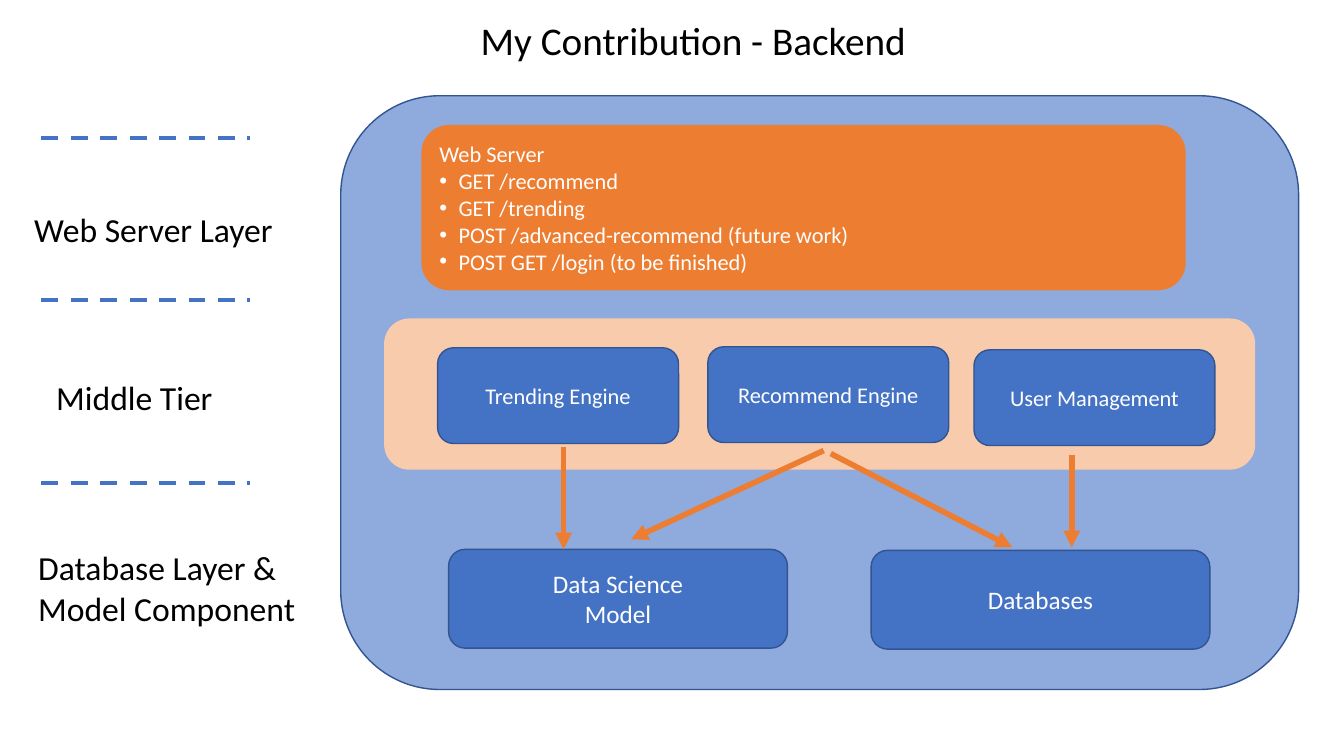
"""Draw the backend layers slide."""
from lxml.etree import SubElement
from pptx import Presentation
from pptx.dml.color import RGBColor
from pptx.enum.dml import MSO_LINE as Dash
from pptx.enum.shapes import MSO_CONNECTOR as Link, MSO_SHAPE as Shape
from pptx.enum.text import MSO_ANCHOR as Anchor, MSO_AUTO_SIZE as Auto, PP_ALIGN as Align
from pptx.oxml.ns import qn
from pptx.util import Inches, Pt

BLACK = RGBColor(0x00, 0x00, 0x00)
WHITE = RGBColor(0xFF, 0xFF, 0xFF)
BLUE = RGBColor(0x44, 0x72, 0xC4)
NAVY = RGBColor(0x32, 0x54, 0x91)
SKY = RGBColor(0x8F, 0xAA, 0xDC)
ORANGE = RGBColor(0xED, 0x7D, 0x31)
PEACH = RGBColor(0xF8, 0xCB, 0xAD)


def write(frame, text, size=16, color=WHITE, align=Align.LEFT, bullets=False):
    for i, line in enumerate(text.split("\n")):
        para = frame.paragraphs[0] if i == 0 else frame.add_paragraph()
        para.alignment = align
        if bullets and i:
            props = para._p.get_or_add_pPr()
            props.set("marL", str(Inches(0.19)))
            props.set("indent", str(-Inches(0.19)))
            SubElement(props, qn("a:buFont"), typeface="Arial")
            SubElement(props, qn("a:buChar"), char="•")
        run = para.add_run()
        run.text = line
        run.font.name = "Calibri"
        run.font.size = Pt(size)
        run.font.color.rgb = color


class Board:
    def __init__(self, slide):
        self.shapes = slide.shapes

    def box(self, left, top, width, height, fill=BLUE, edge=NAVY, text="", **style):
        shape = self.shapes.add_shape(
            Shape.ROUNDED_RECTANGLE, *map(Inches, (left, top, width, height)))
        shape.shadow.inherit = False
        shape.fill.solid()
        shape.fill.fore_color.rgb = fill
        if edge is None:
            shape.line.fill.background()
        else:
            shape.line.color.rgb = edge
            shape.line.width = Pt(1)
        if text:
            shape.text_frame.vertical_anchor = Anchor.MIDDLE
            write(shape.text_frame, text, **style)

    def label(self, left, top, width, height, text, size=24):
        frame = self.shapes.add_textbox(
            *map(Inches, (left, top, width, height))).text_frame
        frame.word_wrap = False
        frame.auto_size = Auto.SHAPE_TO_FIT_TEXT
        write(frame, text, size=size, color=BLACK)

    def line(self, start, end, color, width):
        link = self.shapes.add_connector(Link.STRAIGHT, *map(Inches, start + end))
        link.line.color.rgb = color
        link.line.width = Pt(width)
        SubElement(link._element.spPr, qn("a:effectLst"))
        return link.line

    def arrow(self, start, end):
        line = self.line(start, end, ORANGE, 4)
        SubElement(line._get_or_add_ln(), qn("a:tailEnd"), type="triangle")

    def rule(self, top):
        self.line((0.41, top), (2.48, top), BLUE, 3).dash_style = Dash.DASH


def main():
    deck = Presentation()
    deck.slide_width = Inches(13.33)
    deck.slide_height = Inches(7.5)
    board = Board(deck.slides.add_slide(deck.slide_layouts[6]))

    board.box(3.38, 0.95, 9.5, 5.89, fill=SKY)
    routes = ("Web Server\nGET /recommend\nGET /trending\n"
              "POST /advanced-recommend (future work)\n"
              "POST GET /login (to be finished)")
    board.box(4.18, 1.24, 7.58, 1.64, fill=ORANGE, edge=None, text=routes, bullets=True)

    for left, top, name in ((8.64, 5.46, "Databases"),
                            (4.45, 5.45, "Data Science\nModel")):
        board.box(left, top, 3.36, 0.98, text=name, size=18, align=Align.CENTER)

    board.box(3.81, 3.16, 8.64, 1.5, fill=PEACH, edge=None)
    for left, top, name in ((7.02, 3.44, "Recommend Engine"),
                            (4.34, 3.45, "Trending Engine"),
                            (9.66, 3.47, "User Management")):
        board.box(left, top, 2.39, 0.95, text=name, align=Align.CENTER)

    for start, end in (((5.59, 4.43), (5.59, 5.45)),
                       ((8.17, 4.47), (6.26, 5.35)),
                       ((10.63, 4.51), (10.63, 5.43)),
                       ((8.24, 4.5), (10.04, 5.43))):
        board.arrow(start, end)

    for top in (1.37, 2.98, 4.79):
        board.rule(top)

    board.label(0.24, 2.02, 2.59, 0.5, "Web Server Layer")
    board.label(0.46, 3.69, 1.77, 0.5, "Middle Tier")
    board.label(0.28, 5.38, 2.92, 0.91, "Database Layer &\nModel Component")
    board.label(4.67, 0.11, 4.47, 0.57, "My Contribution - Backend", size=28)
    deck.save("out.pptx")


if __name__ == "__main__":
    main()
